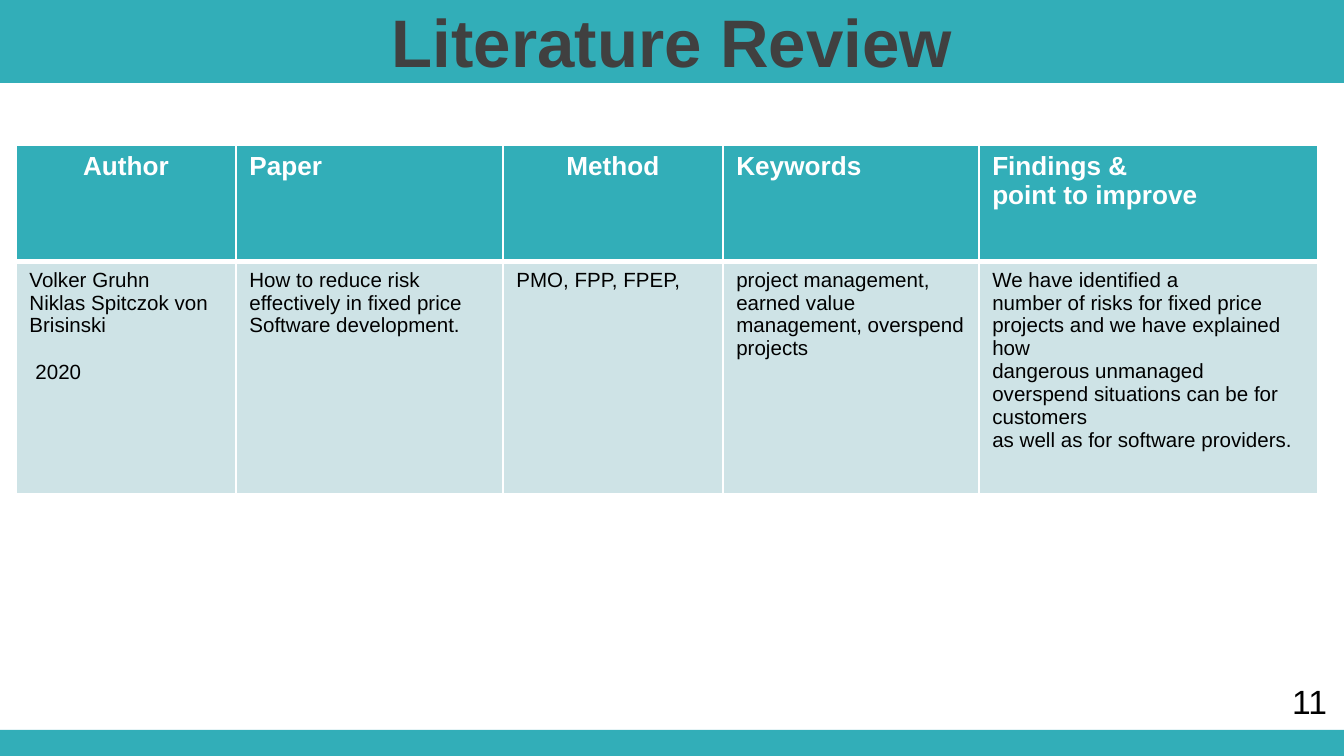
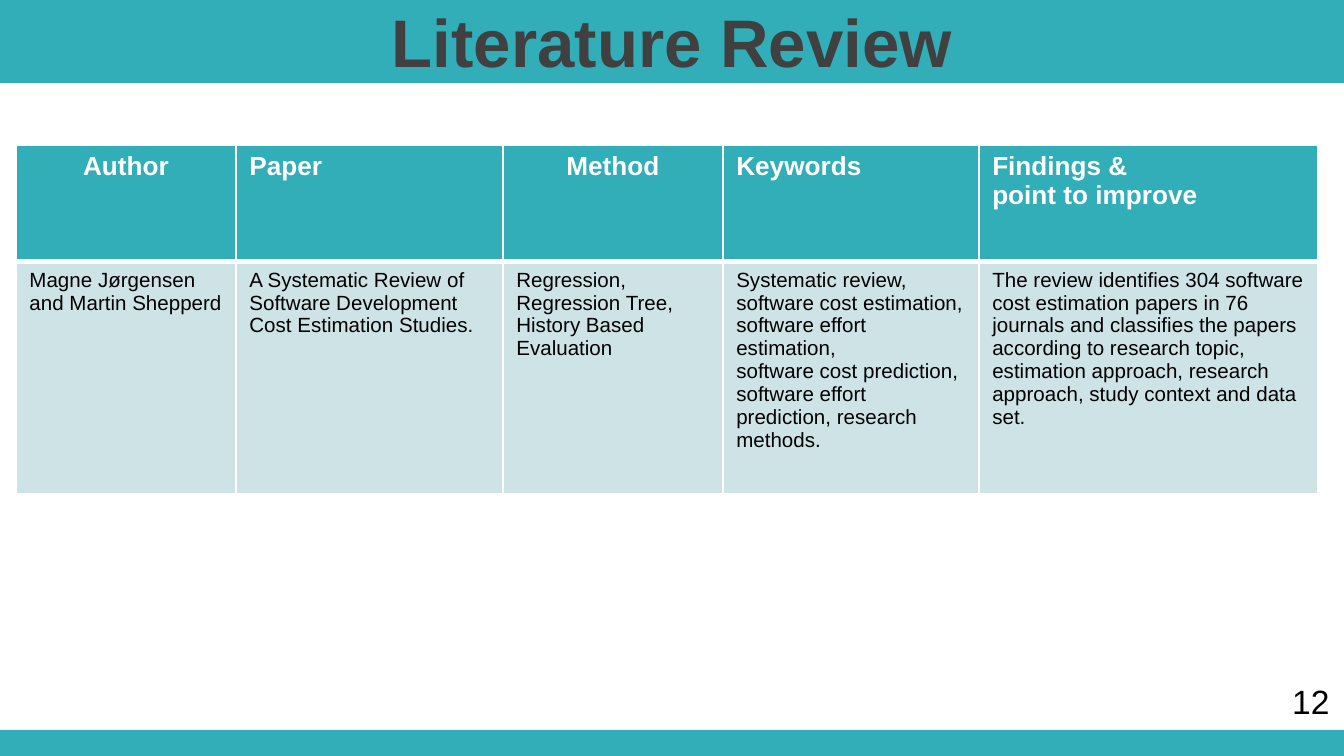
from dataclasses import dataclass

import pptx
import pptx.dml.color
import pptx.enum.shapes
import pptx.enum.text
import pptx.oxml
import pptx.oxml.ns
import pptx.util

PX = 914400 / 134.4
FONT = "Arial"
COLORS = {
    "teal": "32AEB8",
    "pale": "CEE3E6",
    "title": "404040",
    "white": "FFFFFF",
    "black": "000000",
}
LEFT = pptx.enum.text.PP_ALIGN.LEFT
CENTER = pptx.enum.text.PP_ALIGN.CENTER


@dataclass(frozen=True)
class Box:
    left: int
    top: int
    width: int
    height: int


@dataclass(frozen=True)
class Line:
    text: str
    before: float = 0
    indent: int = 0


@dataclass(frozen=True)
class Column:
    heading: tuple[Line, ...]
    width: int
    align: pptx.enum.text.PP_ALIGN = LEFT


@dataclass(frozen=True)
class Review:
    page: int
    page_box: Box
    findings: tuple[tuple[Line, ...], ...]


def lines(*texts: str) -> tuple[Line, ...]:
    return tuple(Line(text) for text in texts)


BANDS = (Box(0, 730, 1344, 26), Box(0, 0, 1344, 11), Box(0, 11, 1344, 72))
TITLE = Box(0, -1, 1344, 84)
TABLE_LEFT, TABLE_TOP = 16, 145
ROW_HEIGHTS = (117, 232)
COLUMNS = (
    Column(lines("Author"), 220, CENTER),
    Column(lines("Paper"), 267),
    Column(lines("Method"), 220, CENTER),
    Column(lines("Keywords"), 256),
    Column(lines("Findings &", "point to improve"), 339),
)
REVIEWS = (
    Review(11, Box(1279, 674, 62, 54), (
        lines("Volker Gruhn", "Niklas Spitczok von Brisinski")
        + (Line("2020", before=12.5, indent=6),),
        lines("How to reduce risk effectively in fixed price",
              "Software development."),
        lines("PMO, FPP, FPEP,"),
        lines("project management, earned value management, overspend projects"),
        lines("We have identified a",
              "number of risks for fixed price projects and we have explained how",
              "dangerous unmanaged overspend situations can be for customers",
              "as well as for software providers."),
    )),
    Review(12, Box(1279, 674, 65, 54), (
        lines("Magne Jørgensen and Martin Shepperd"),
        lines("A Systematic Review of", "Software Development",
              "Cost Estimation Studies."),
        lines("Regression, Regression Tree, History Based Evaluation"),
        lines("Systematic review, software cost estimation, software effort estimation,",
              "software cost prediction, software effort",
              "prediction, research methods."),
        lines("The review identifies 304 software cost estimation papers in 76 "
              "journals and classifies the papers according to research topic, "
              "estimation approach, research approach, study context and data set."),
    )),
)


def emu(px: int) -> pptx.util.Emu:
    return pptx.util.Emu(round(px * PX))


def place(box: Box) -> tuple[pptx.util.Emu, ...]:
    return emu(box.left), emu(box.top), emu(box.width), emu(box.height)


def rgb(color: str) -> pptx.dml.color.RGBColor:
    return pptx.dml.color.RGBColor.from_string(COLORS[color])


def write_text(frame, text: tuple[Line, ...], *, size: int, color: str = "black",
               bold: bool = False, align: pptx.enum.text.PP_ALIGN = LEFT) -> None:
    for index, line in enumerate(text):
        paragraph = frame.add_paragraph() if index else frame.paragraphs[0]
        paragraph.alignment = align
        if line.before:
            paragraph.space_before = pptx.util.Pt(line.before)
        if line.indent:
            paragraph._p.get_or_add_pPr().set("marL", str(emu(line.indent)))
        run = paragraph.add_run()
        run.text = line.text
        run.font.name = FONT
        run.font.size = pptx.util.Pt(size)
        run.font.bold = bold
        run.font.color.rgb = rgb(color)


def add_band(slide, box: Box) -> None:
    band = slide.shapes.add_shape(
        pptx.enum.shapes.MSO_SHAPE.RECTANGLE, *place(box))
    band.shadow.inherit = False
    band.fill.solid()
    band.fill.fore_color.rgb = rgb("teal")
    band.line.fill.background()


def add_title(slide) -> None:
    frame = slide.shapes.add_textbox(*place(TITLE)).text_frame
    frame.word_wrap = True
    frame.vertical_anchor = pptx.enum.text.MSO_ANCHOR.MIDDLE
    write_text(frame, (Line("Literature Review", before=7.2),), size=36,
               color="title", bold=True, align=CENTER)


def add_page_number(slide, review: Review) -> None:
    frame = slide.shapes.add_textbox(*place(review.page_box)).text_frame
    frame.word_wrap = False
    frame.auto_size = pptx.enum.text.MSO_AUTO_SIZE.SHAPE_TO_FIT_TEXT
    write_text(frame, lines(str(review.page)), size=18)


def style_cell(cell, fill: str, *, top: int = 1, bottom: int = 1) -> None:
    properties = cell._tc.get_or_add_tcPr()
    for side, weight in (("L", 1), ("R", 1), ("T", top), ("B", bottom)):
        properties.append(pptx.oxml.parse_xml(
            f'<a:ln{side} {pptx.oxml.ns.nsdecls("a")} w="{pptx.util.Pt(weight)}">'
            f'<a:solidFill><a:srgbClr val="{COLORS["white"]}"/></a:solidFill>'
            f'</a:ln{side}>'))
    cell.fill.solid()
    cell.fill.fore_color.rgb = rgb(fill)


def add_review_table(slide, review: Review) -> None:
    box = Box(TABLE_LEFT, TABLE_TOP, sum(column.width for column in COLUMNS),
              sum(ROW_HEIGHTS))
    table = slide.shapes.add_table(
        len(ROW_HEIGHTS), len(COLUMNS), *place(box)).table
    table.horz_banding = False
    for row, height in zip(table.rows, ROW_HEIGHTS):
        row.height = emu(height)
    for index, (column, finding) in enumerate(zip(COLUMNS, review.findings)):
        table.columns[index].width = emu(column.width)
        heading_cell, finding_cell = table.cell(0, index), table.cell(1, index)
        style_cell(heading_cell, "teal", bottom=3)
        style_cell(finding_cell, "pale", top=3)
        write_text(heading_cell.text_frame, column.heading, size=14,
                   color="white", bold=True, align=column.align)
        write_text(finding_cell.text_frame, finding, size=11)


def main() -> None:
    deck = pptx.Presentation()
    deck.slide_width, deck.slide_height = emu(1344), emu(756)
    for review in REVIEWS:
        slide = deck.slides.add_slide(deck.slide_layouts[6])
        for band in BANDS:
            add_band(slide, band)
        add_title(slide)
        add_review_table(slide, review)
        add_page_number(slide, review)
    deck.save("out.pptx")


if __name__ == "__main__":
    main()
